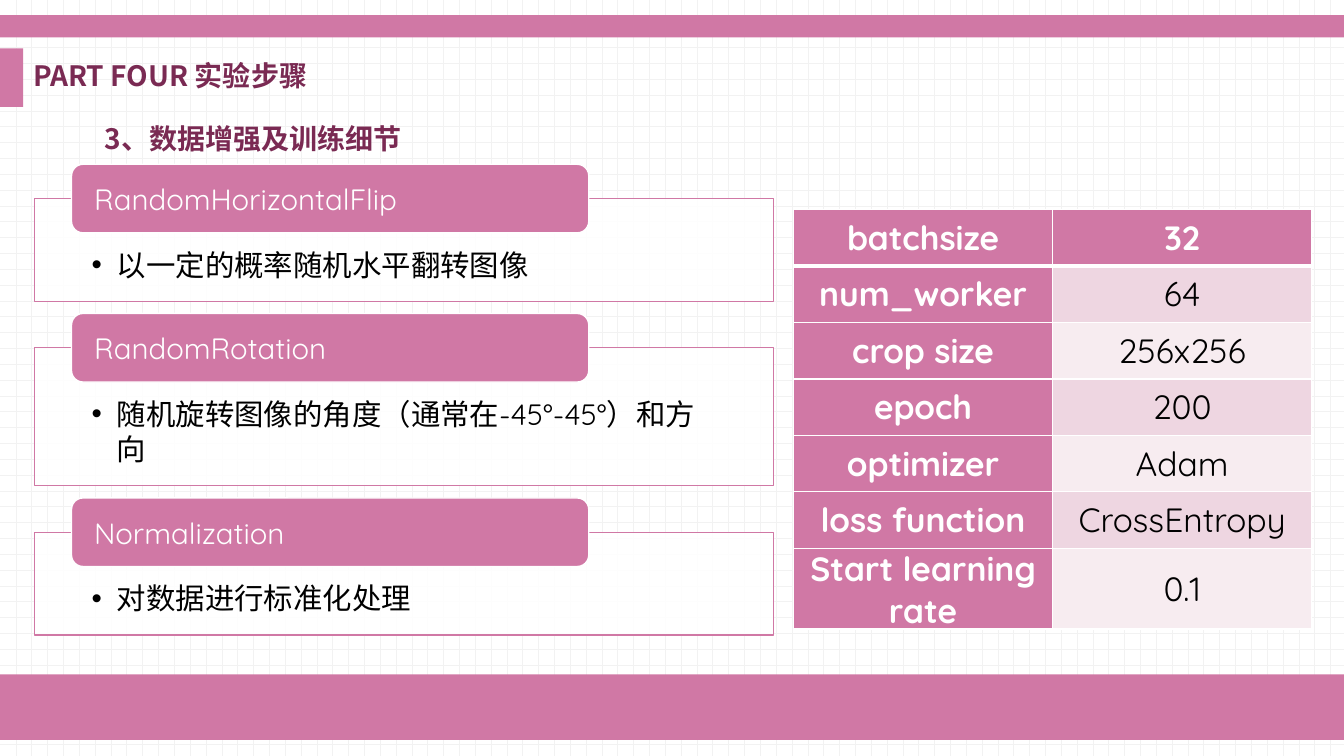
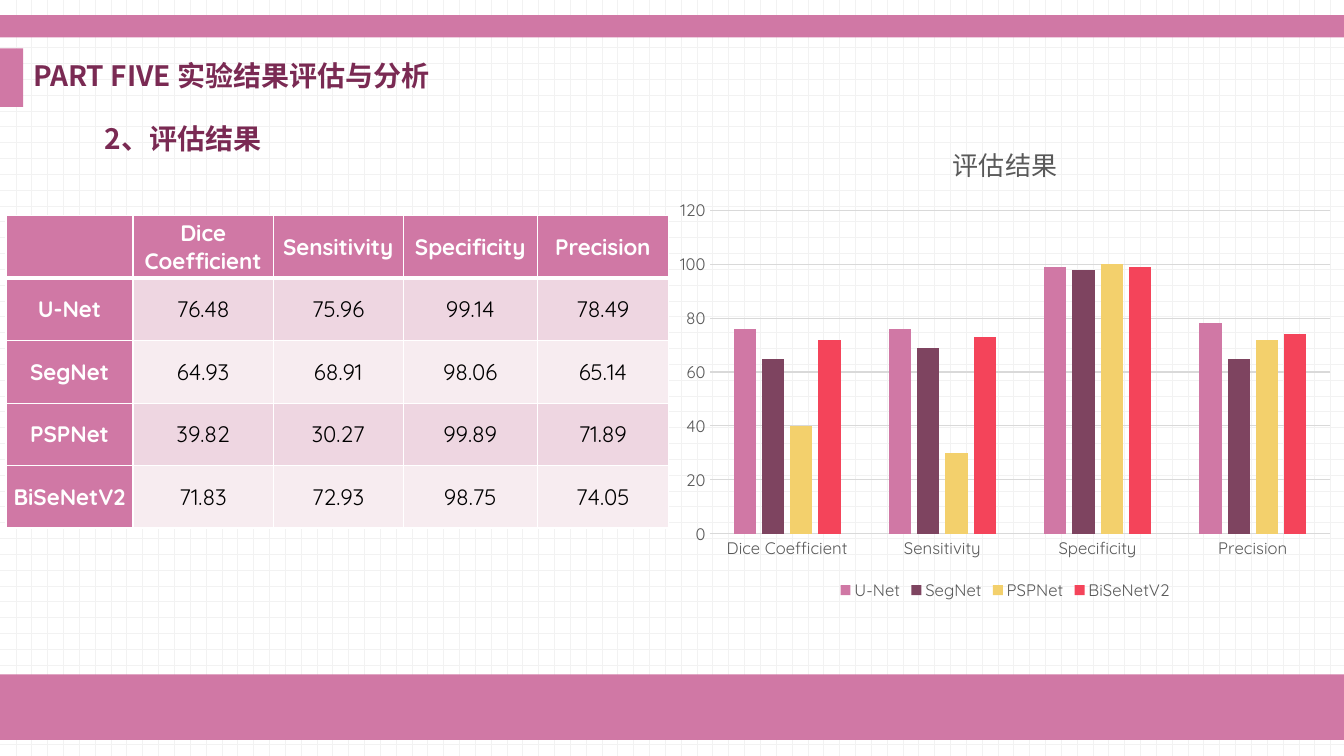
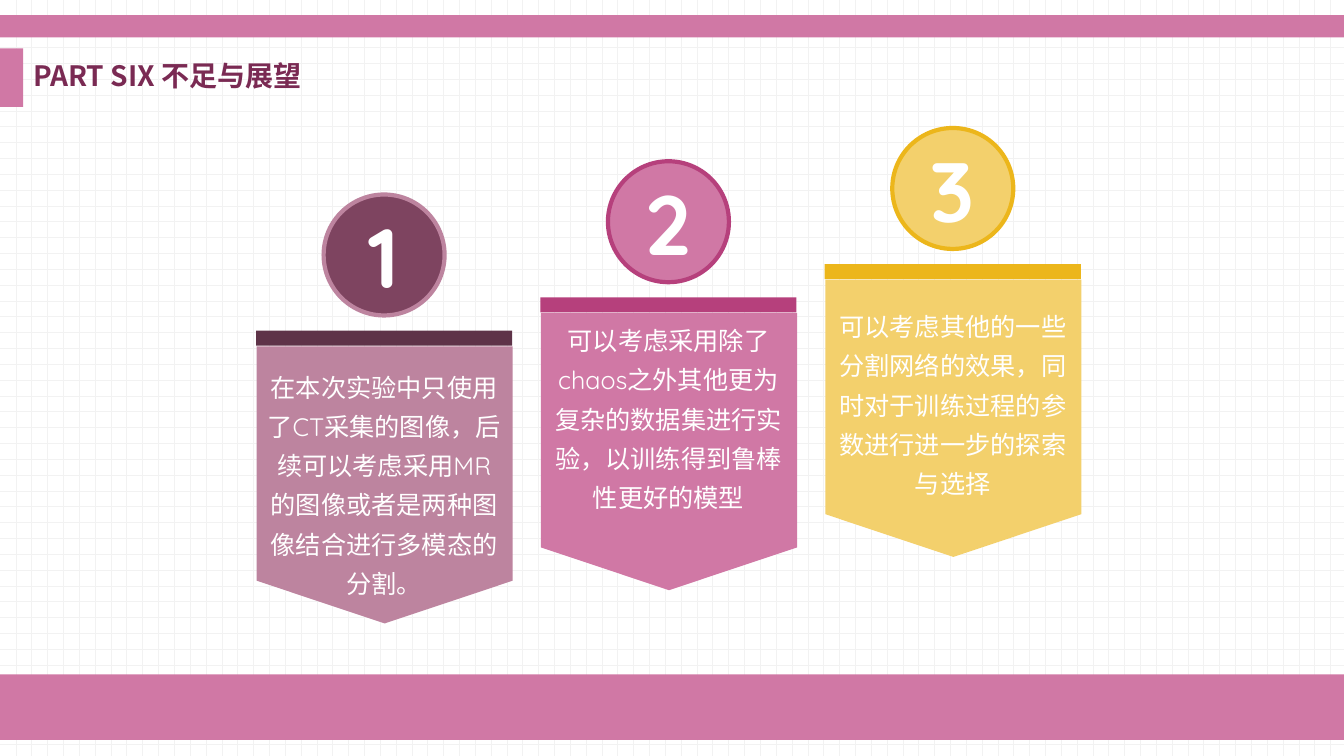
from lxml.etree import SubElement
from pptx import Presentation
from pptx.chart.data import CategoryChartData
from pptx.dml.color import RGBColor
from pptx.enum.chart import XL_CHART_TYPE, XL_LEGEND_POSITION, XL_TICK_MARK
from pptx.enum.dml import MSO_PATTERN
from pptx.enum.shapes import MSO_SHAPE
from pptx.enum.text import MSO_ANCHOR, PP_ALIGN
from pptx.oxml.ns import qn
from pptx.util import Inches, Pt

PINK = RGBColor(0xD0, 0x78, 0xA5)
PLUM = RGBColor(0x7A, 0x2A, 0x53)
MAUVE = RGBColor(0x7E, 0x44, 0x60)
DUSK = RGBColor(0x5E, 0x33, 0x48)
ROSE = RGBColor(0xBD, 0x84, 0x9F)
MAGENTA = RGBColor(0xB6, 0x40, 0x7C)
YELLOW = RGBColor(0xF3, 0xD0, 0x6C)
GOLD = RGBColor(0xEC, 0xB6, 0x1B)
RED = RGBColor(0xF4, 0x44, 0x5A)
ROW_DARK = RGBColor(0xEE, 0xD6, 0xE1)
ROW_LIGHT = RGBColor(0xF7, 0xEC, 0xF0)
GRID = RGBColor(0xF2, 0xF2, 0xF2)
RULE = RGBColor(0xD9, 0xD9, 0xD9)
GREY = RGBColor(0x59, 0x59, 0x59)
WHITE = RGBColor(0xFF, 0xFF, 0xFF)
BLACK = RGBColor(0, 0, 0)
HEAD_FONT = "Noto Sans CJK SC"
BODY_FONT = "Quicksand"
WIDTH, HEIGHT = 13.33, 7.5


class Deck:
    def __init__(self):
        self.prs = Presentation()
        self.prs.slide_width = Inches(WIDTH)
        self.prs.slide_height = Inches(HEIGHT)
        self.slide = None

    def new_slide(self, title, subtitle=None):
        self.slide = self.prs.slides.add_slide(self.prs.slide_layouts[6])
        fill = self.slide.background.fill
        fill.patterned()
        fill.pattern = MSO_PATTERN.DOTTED_GRID
        fill.fore_color.rgb = GRID
        fill.back_color.rgb = WHITE
        for box in ((0, 6.69, WIDTH, 0.65), (0, 0.15, WIDTH, 0.22), (0, 0.48, 0.23, 0.58)):
            self.shape(MSO_SHAPE.RECTANGLE, box, PINK)
        self.text((0.23, 0.48, 5.32, 0.58), title, 20, PLUM, HEAD_FONT, True,
                  spacing=0.9, anchor=MSO_ANCHOR.MIDDLE)
        if subtitle:
            self.text((0.94, 1.06, 3.3, 0.5), subtitle, 20, PLUM, HEAD_FONT, True, spacing=1.3)

    def font(self, font, size, color, name=BODY_FONT, bold=False):
        font.size = Pt(size)
        font.bold = bold
        font.color.rgb = color
        font.name = name

    def fill_text(self, tf, text, size, color, name=BODY_FONT, bold=False,
                  align=PP_ALIGN.LEFT, spacing=None):
        tf.text = text
        p = tf.paragraphs[0]
        p.alignment = align
        if spacing:
            p.line_spacing = spacing
        for r in p.runs:
            self.font(r.font, size, color, name, bold)
            SubElement(r.font._element, qn("a:ea")).set("typeface", name)
        return p

    def text(self, box, text, size, color, name=BODY_FONT, bold=False,
             align=PP_ALIGN.LEFT, spacing=None, anchor=MSO_ANCHOR.TOP):
        tf = self.slide.shapes.add_textbox(*map(Inches, box)).text_frame
        tf.word_wrap = True
        tf.vertical_anchor = anchor
        self.fill_text(tf, text, size, color, name, bold, align, spacing)

    def shape(self, kind, box, fill, line=None, weight=1):
        sp = self.slide.shapes.add_shape(kind, *map(Inches, box))
        sp.shadow.inherit = False
        sp.fill.solid()
        sp.fill.fore_color.rgb = fill
        if line is None:
            sp.line.fill.background()
        else:
            sp.line.color.rgb = line
            sp.line.width = Pt(weight)
        return sp

    def insets(self, tf, left, top, bottom):
        tf.margin_left = tf.margin_right = Inches(left)
        tf.margin_top = Inches(top)
        tf.margin_bottom = Inches(bottom)

    def step(self, top, height, label, detail):
        sp = self.shape(MSO_SHAPE.RECTANGLE, (0.34, top, 7.33, height), WHITE, PINK)
        color = sp.fill._xPr.find(qn("a:solidFill"))[0]
        SubElement(color, qn("a:alpha")).set("val", "90000")
        tf = sp.text_frame
        tf.word_wrap = True
        tf.vertical_anchor = MSO_ANCHOR.TOP
        self.insets(tf, 0.57, 0.48, 0.16)
        p = self.fill_text(tf, detail, 21, BLACK)
        pPr = p._p.get_or_add_pPr()
        pPr.set("marL", str(Inches(0.25)))
        pPr.set("indent", str(-Inches(0.25)))
        SubElement(pPr, qn("a:buFont")).set("typeface", "Arial")
        SubElement(pPr, qn("a:buChar")).set("char", "•")

        tab = self.shape(MSO_SHAPE.ROUNDED_RECTANGLE, (0.71, top - 0.34, 5.13, 0.68), PINK, WHITE)
        tab.text_frame.vertical_anchor = MSO_ANCHOR.MIDDLE
        self.insets(tab.text_frame, 0.19, 0, 0)
        self.fill_text(tab.text_frame, label, 21, WHITE)

    def border(self, cell, side, weight):
        ln = SubElement(cell._tc.get_or_add_tcPr(), qn(f"a:ln{side}"), w=str(Pt(weight)))
        SubElement(SubElement(ln, qn("a:solidFill")), qn("a:srgbClr")).set("val", str(WHITE))

    def table(self, left, top, widths, row_height, rows, size):
        box = (left, top, sum(widths), row_height * len(rows))
        table = self.slide.shapes.add_table(len(rows), len(widths), *map(Inches, box)).table
        for column, width in zip(table.columns, widths):
            column.width = Inches(width)
        for i, row in enumerate(rows):
            table.rows[i].height = Inches(row_height)
            for j, value in enumerate(row):
                cell = table.cell(i, j)
                head = i == 0 or j == 0
                weights = {"L": 1, "R": 1, "T": 3 if i == 1 else 1, "B": 3 if i == 0 else 1}
                for side, weight in weights.items():
                    self.border(cell, side, weight)
                cell.fill.solid()
                cell.fill.fore_color.rgb = PINK if head else (ROW_DARK if i % 2 else ROW_LIGHT)
                cell.vertical_anchor = MSO_ANCHOR.MIDDLE
                self.insets(cell, 0.07, 0, 0)
                if value:
                    self.fill_text(cell.text_frame, value, size, WHITE if head else BLACK,
                                   bold=head, align=PP_ALIGN.CENTER)

    def column_chart(self, box, title, categories, series, colors):
        data = CategoryChartData()
        data.categories = categories
        for name, values in series:
            data.add_series(name, values)
        chart = self.slide.shapes.add_chart(
            XL_CHART_TYPE.COLUMN_CLUSTERED, *map(Inches, box), data).chart
        self.font(chart.font, 11.9, GREY)
        chart.has_title = True
        self.fill_text(chart.chart_title.text_frame, title, 18.6, GREY, align=PP_ALIGN.CENTER)
        chart.has_legend = True
        chart.legend.position = XL_LEGEND_POSITION.BOTTOM
        chart.legend.include_in_layout = False
        self.font(chart.legend.font, 11.9, GREY)
        for axis in (chart.category_axis, chart.value_axis):
            axis.major_tick_mark = axis.minor_tick_mark = XL_TICK_MARK.NONE
            self.font(axis.tick_labels.font, 11.9, GREY)
        chart.value_axis.minimum_scale = 0
        chart.value_axis.maximum_scale = 120
        chart.value_axis.major_unit = 20
        chart.value_axis.format.line.fill.background()
        for line in (chart.category_axis.format.line, chart.value_axis.major_gridlines.format.line):
            line.color.rgb = RULE
            line.width = Pt(0.75)
        plot = chart.plots[0]
        plot.vary_by_categories = False
        plot.gap_width = 219
        plot.overlap = -27
        for s, color in zip(plot.series, colors):
            s.format.fill.solid()
            s.format.fill.fore_color.rgb = color

    def banner(self, left, top, text_top, number, text, dark, body, disc, ring):
        self.shape(MSO_SHAPE.RECTANGLE, (left, top, 2.54, 0.15), dark)
        plate = self.shape(MSO_SHAPE.PENTAGON, (left - 0.1, top + 0.26, 2.75, 2.54), body)
        plate.rotation = 90
        plate.adjustments[0] = 0.167
        self.text((left, text_top, 2.54, 2.04), text, 18, WHITE,
                  align=PP_ALIGN.CENTER, spacing=1.3)
        sp = self.shape(MSO_SHAPE.OVAL, (left + 0.67, top - 1.35, 1.2, 1.2), disc, ring, 3)
        sp.text_frame.vertical_anchor = MSO_ANCHOR.MIDDLE
        self.fill_text(sp.text_frame, number, 60, WHITE, bold=True, align=PP_ALIGN.CENTER)


def training_slide(deck):
    deck.new_slide("PART FOUR 实验步骤", "3、数据增强及训练细节")
    steps = [
        (1.02, "RandomHorizontalFlip", "以一定的概率随机水平翻转图像"),
        (1.37, "RandomRotation", "随机旋转图像的角度（通常在-45°-45°）和方向"),
        (1.02, "Normalization", "对数据进行标准化处理"),
    ]
    top = 1.97
    for height, label, detail in steps:
        deck.step(top, height, label, detail)
        top += height + 0.46
    settings = [
        ("batchsize", "32"),
        ("num_worker", "64"),
        ("crop size", "256x256"),
        ("epoch", "200"),
        ("optimizer", "Adam"),
        ("loss function", "CrossEntropy"),
        ("Start learning rate", "0.1"),
    ]
    deck.table(7.87, 2.08, (2.57, 2.57), 0.56, settings, 24)


def results_slide(deck):
    deck.new_slide("PART FIVE 实验结果评估与分析", "2、评估结果")
    metrics = ("Dice Coefficient", "Sensitivity", "Specificity", "Precision")
    scores = [
        ("U-Net", "76.48", "75.96", "99.14", "78.49"),
        ("SegNet", "64.93", "68.91", "98.06", "65.14"),
        ("PSPNet", "39.82", "30.27", "99.89", "71.89"),
        ("BiSeNetV2", "71.83", "72.93", "98.75", "74.05"),
    ]
    deck.table(0.06, 2.14, (1.26, 1.39, 1.29, 1.33, 1.3), 0.62, [("", *metrics), *scores], 16)
    series = [(name, [round(float(v)) for v in values]) for name, *values in scores]
    deck.column_chart((6.61, 1.26, 6.72, 4.74), "评估结果", metrics, series,
                      (PINK, MAUVE, YELLOW, RED))


def outlook_slide(deck):
    deck.new_slide("PART SIX 不足与展望")
    banners = [
        (3.55, "在本次实验中只使用了CT采集的图像，后续可以考虑采用MR的图像或者是两种图像结合进行多模态的分割。",
         DUSK, ROSE, MAUVE, ROSE),
        (3.09, "可以考虑采用除了chaos之外其他更为复杂的数据集进行实验，以训练得到鲁棒性更好的模型",
         MAGENTA, PINK, PINK, MAGENTA),
        (2.95, "可以考虑其他的一些分割网络的效果，同时对于训练过程的参数进行进一步的探索与选择",
         GOLD, YELLOW, YELLOW, GOLD),
    ]
    for i, (text_top, text, *colors) in enumerate(banners):
        deck.banner(2.54 + 2.82 * i, 3.28 - 0.33 * i, text_top, str(i + 1), text, *colors)


def main():
    deck = Deck()
    training_slide(deck)
    results_slide(deck)
    outlook_slide(deck)
    deck.prs.save("out.pptx")


if __name__ == "__main__":
    main()
